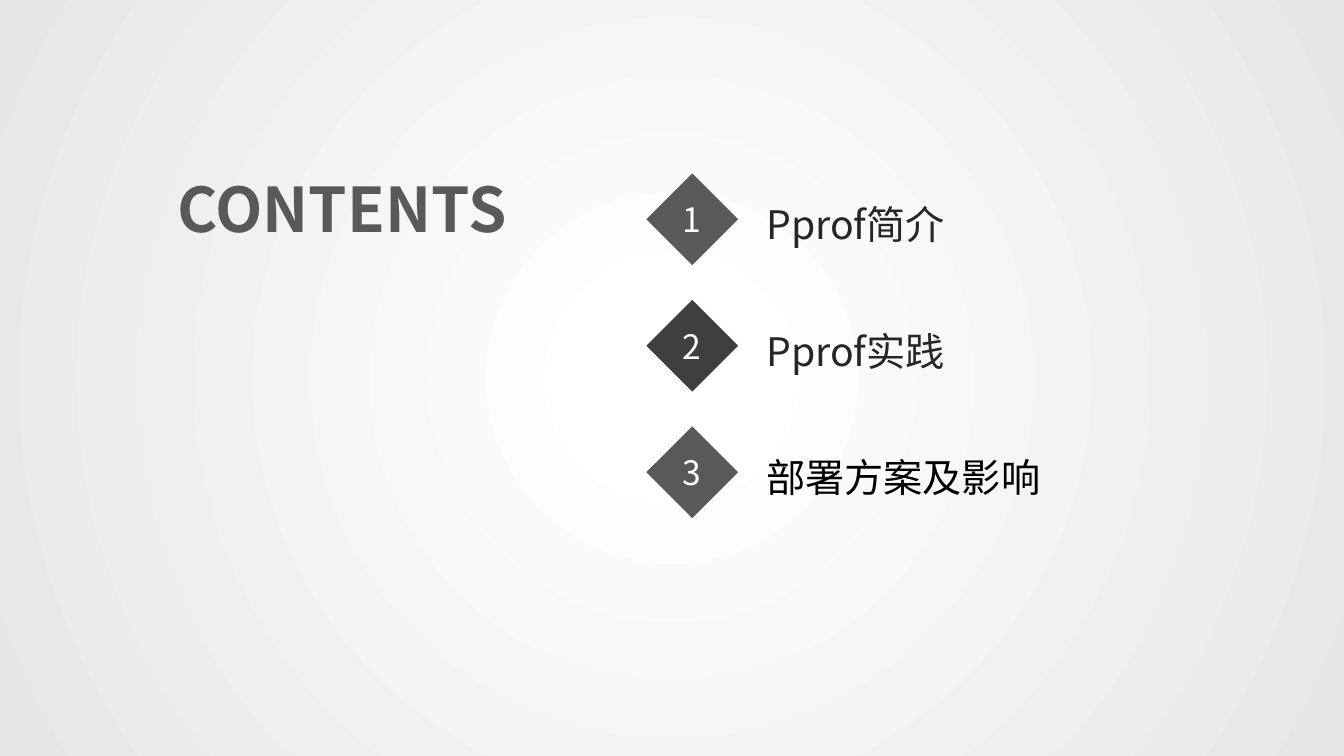
import dataclasses

import lxml.etree
import pptx
import pptx.dml.color
import pptx.enum.shapes
import pptx.enum.text
import pptx.oxml.ns
import pptx.util

ANCHOR = pptx.enum.text.MSO_ANCHOR
ALIGN = pptx.enum.text.PP_ALIGN
qn = pptx.oxml.ns.qn


@dataclasses.dataclass(frozen=True)
class Theme:
    font: str = "Noto Sans CJK SC"
    white: str = "FFFFFF"
    edge: str = "E6E6E8"
    gray: str = "595959"
    charcoal: str = "3F3F3F"
    ink: str = "262626"
    black: str = "000000"
    heading_size: float = 44
    topic_size: float = 28
    number_size: float = 24
    topic_line: float = 40.4


def rgb(value):
    return pptx.dml.color.RGBColor.from_string(value)


def write(paragraph, text, *, font, size, color, bold=False, align=ALIGN.LEFT):
    paragraph.alignment = align
    run = paragraph.add_run()
    run.text = text
    run.font.name = font
    run.font.size = pptx.util.Pt(size)
    run.font.bold = bold
    run.font.color.rgb = rgb(color)
    east_asian = lxml.etree.SubElement(run.font._element, qn("a:ea"))
    east_asian.set("typeface", font)


class ContentsSlide:
    def __init__(self, deck, theme):
        self.theme = theme
        self.column = deck.slide_width / 100
        self.row = deck.slide_height / 100
        self.slide = deck.slides.add_slide(deck.slide_layouts[1])

    def area(self, left, top, width, height):
        return (round(left * self.column), round(top * self.row),
                round(width * self.column), round(height * self.row))

    def place(self, placeholder, area):
        placeholder.left, placeholder.top, placeholder.width, placeholder.height = area
        frame = placeholder.text_frame
        frame.word_wrap = True
        frame.auto_size = pptx.enum.text.MSO_AUTO_SIZE.NONE
        frame.vertical_anchor = ANCHOR.MIDDLE
        return frame

    def background(self):
        fill = self.slide.background.fill
        fill.gradient()
        stops = ((0.09, self.theme.white), (1, self.theme.edge))
        for stop, (position, color) in zip(fill.gradient_stops, stops):
            stop.position = position
            stop.color.rgb = rgb(color)
        gradient = self.slide.element.find(".//" + qn("a:gradFill"))
        gradient.remove(gradient.find(qn("a:lin")))
        circle = lxml.etree.SubElement(gradient, qn("a:path"), {"path": "circle"})
        lxml.etree.SubElement(circle, qn("a:fillToRect"), dict.fromkeys("ltrb", "50000"))

    def heading(self, text, area):
        frame = self.place(self.slide.shapes.title, area)
        write(frame.paragraphs[0], text, font=self.theme.font,
              size=self.theme.heading_size, color=self.theme.gray, bold=True)

    def topics(self, entries, area, pitch):
        frame = self.place(self.slide.placeholders[1], area)
        gap = pitch * self.row / pptx.util.Pt(1) - self.theme.topic_line
        for index, (text, color) in enumerate(entries):
            topic = frame.add_paragraph() if index else frame.paragraphs[0]
            topic.line_spacing = pptx.util.Pt(self.theme.topic_line)
            topic.space_before = pptx.util.Pt(gap if index else 0)
            properties = topic._p.get_or_add_pPr()
            properties.set("marL", "0")
            properties.set("indent", "0")
            lxml.etree.SubElement(properties, qn("a:buNone"))
            write(topic, text, font=self.theme.font, size=self.theme.topic_size, color=color)

    def diamond(self, number, color, area):
        marker = self.slide.shapes.add_shape(pptx.enum.shapes.MSO_SHAPE.DIAMOND, *area)
        marker.shadow.inherit = False
        marker.fill.solid()
        marker.fill.fore_color.rgb = rgb(color)
        marker.line.fill.background()
        frame = marker.text_frame
        frame.margin_left = frame.margin_right = 0
        frame.vertical_anchor = ANCHOR.MIDDLE
        write(frame.paragraphs[0], str(number), font=self.theme.font,
              size=self.theme.number_size, color=self.theme.white, align=ALIGN.CENTER)


def main():
    deck = pptx.Presentation()
    deck.slide_width = pptx.util.Inches(13.33)
    deck.slide_height = pptx.util.Inches(7.5)
    theme = Theme()
    contents = ContentsSlide(deck, theme)
    contents.background()
    contents.heading("CONTENTS", contents.area(12.45, 21.87, 27.53, 11.2))

    agenda = (
        ("Pprof简介", theme.ink, theme.gray),
        ("Pprof实践", theme.ink, theme.charcoal),
        ("部署方案及影响", theme.black, theme.gray),
    )
    first_center, pitch = 29, 16.73
    diamond_width, diamond_height = 6.83, 12.13
    for index, (_, _, fill) in enumerate(agenda):
        top = first_center + index * pitch - diamond_height / 2
        contents.diamond(index + 1, fill,
                         contents.area(48.09, top, diamond_width, diamond_height))
    contents.topics([(text, color) for text, color, _ in agenda],
                    contents.area(56.26, first_center - pitch / 2, 34.51, len(agenda) * pitch),
                    pitch)
    deck.save("out.pptx")


if __name__ == "__main__":
    main()
